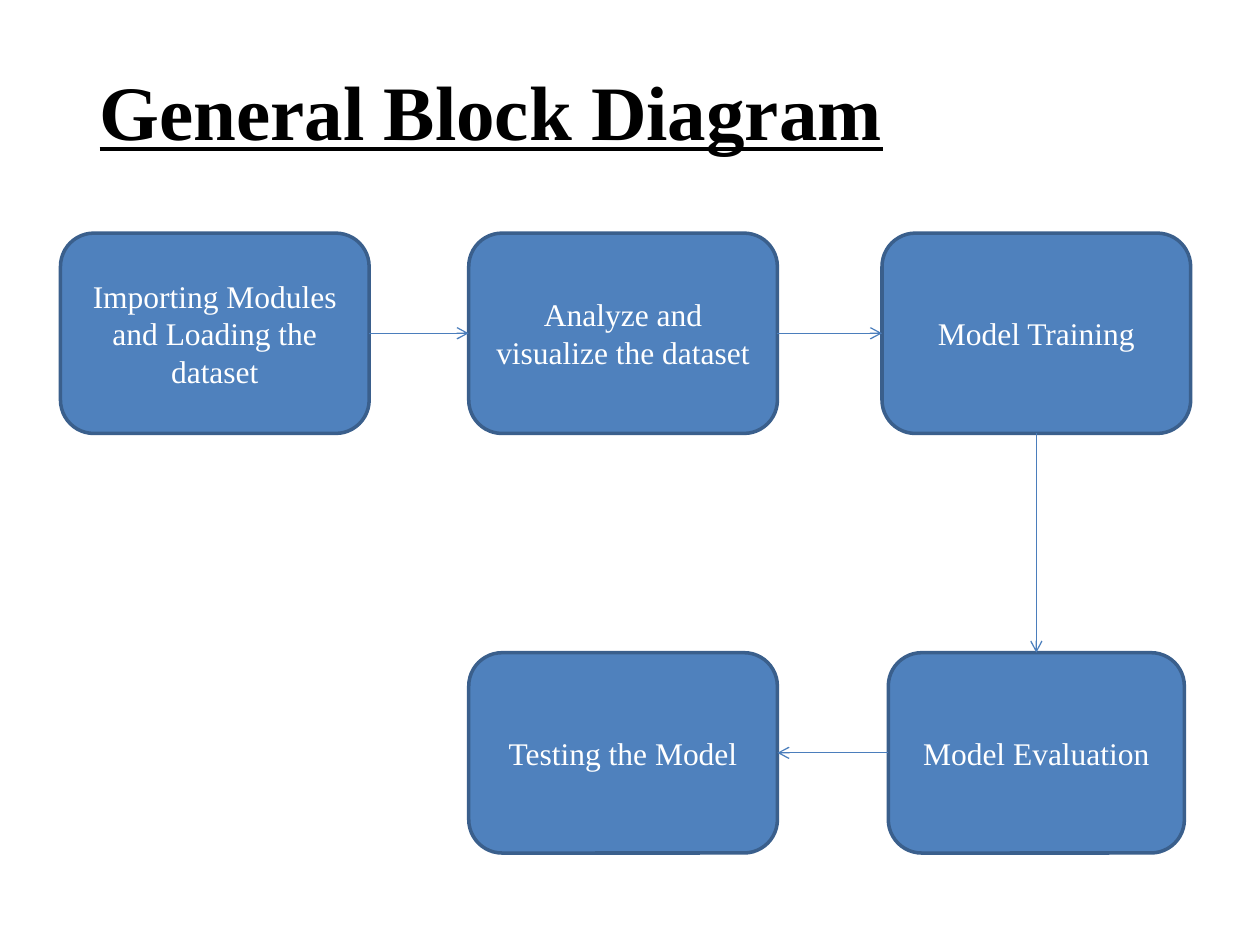
from dataclasses import dataclass
from itertools import pairwise

from lxml.etree import SubElement
from pptx import Presentation
from pptx.dml.color import RGBColor
from pptx.enum.shapes import MSO_CONNECTOR, MSO_SHAPE
from pptx.enum.text import MSO_ANCHOR, PP_ALIGN
from pptx.oxml.ns import qn
from pptx.shapes.autoshape import Shape
from pptx.slide import Slide
from pptx.text.text import TextFrame
from pptx.util import Inches, Pt

COLORS = {"text": "000000", "box": "4F81BD", "border": "3A5F8C",
          "label": "FFFFFF", "arrow": "4B7EBC"}
FONT = "Times New Roman"
BOX_HEIGHT = 1.59
ROW_TOPS = (1.85, 5.18)
TOP, LEFT, BOTTOM, RIGHT = range(4)


@dataclass
class Step:
    text: str
    left: float
    row: int
    exit: int = RIGHT
    entry: int = LEFT
    width: float = 2.45


STEPS = [
    Step("Importing Modules and Loading the dataset", 0.48, 0),
    Step("Analyze and visualize the dataset", 3.72, 0),
    Step("Model Training", 7, 0, exit=BOTTOM),
    Step("Model Evaluation", 7.05, 1, exit=LEFT, entry=TOP, width=2.35),
    Step("Testing the Model", 3.72, 1, entry=RIGHT),
]


def rgb(name: str) -> RGBColor:
    return RGBColor.from_string(COLORS[name])


def set_text(tf: TextFrame, text: str, size: int, color: str,
             align: PP_ALIGN, heading: bool = False) -> None:
    tf.text = text
    tf.word_wrap = True
    tf.vertical_anchor = MSO_ANCHOR.MIDDLE
    p = tf.paragraphs[0]
    p.alignment = align
    font = p.runs[0].font
    font.name = FONT
    font.size = Pt(size)
    font.color.rgb = rgb(color)
    font.bold = font.underline = heading


def add_title(s: Slide, text: str) -> None:
    sp = s.shapes.title
    sp.left, sp.top = Inches(0.69), Inches(0.4)
    sp.width, sp.height = Inches(8.62), Inches(0.94)
    set_text(sp.text_frame, text, 44, "text", PP_ALIGN.LEFT, heading=True)


def add_step(s: Slide, step: Step) -> Shape:
    sp = s.shapes.add_shape(
        MSO_SHAPE.ROUNDED_RECTANGLE, Inches(step.left),
        Inches(ROW_TOPS[step.row]), Inches(step.width), Inches(BOX_HEIGHT))
    sp.shadow.inherit = False
    sp.fill.solid()
    sp.fill.fore_color.rgb = rgb("box")
    sp.line.color.rgb = rgb("border")
    sp.line.width = Pt(2)
    set_text(sp.text_frame, step.text, 18, "label", PP_ALIGN.CENTER)
    return sp


def add_arrow(s: Slide, start: Shape, exit_site: int,
              end: Shape, entry_site: int) -> None:
    cxn = s.shapes.add_connector(MSO_CONNECTOR.STRAIGHT, 0, 0, 0, 0)
    cxn.begin_connect(start, exit_site)
    cxn.end_connect(end, entry_site)
    cxn.line.color.rgb = rgb("arrow")
    cxn.line.width = Pt(0.75)
    SubElement(cxn.line._get_or_add_ln(), qn("a:tailEnd"), type="arrow")
    SubElement(cxn._element.spPr, qn("a:effectLst"))


def main() -> None:
    prs = Presentation()
    prs.slide_width, prs.slide_height = Inches(10), Inches(7.5)
    s = prs.slides.add_slide(prs.slide_layouts[5])
    add_title(s, "General Block Diagram")
    boxes = [(step, add_step(s, step)) for step in STEPS]
    for (step, box), (next_step, next_box) in pairwise(boxes):
        add_arrow(s, box, step.exit, next_box, next_step.entry)
    prs.save("out.pptx")


if __name__ == "__main__":
    main()
